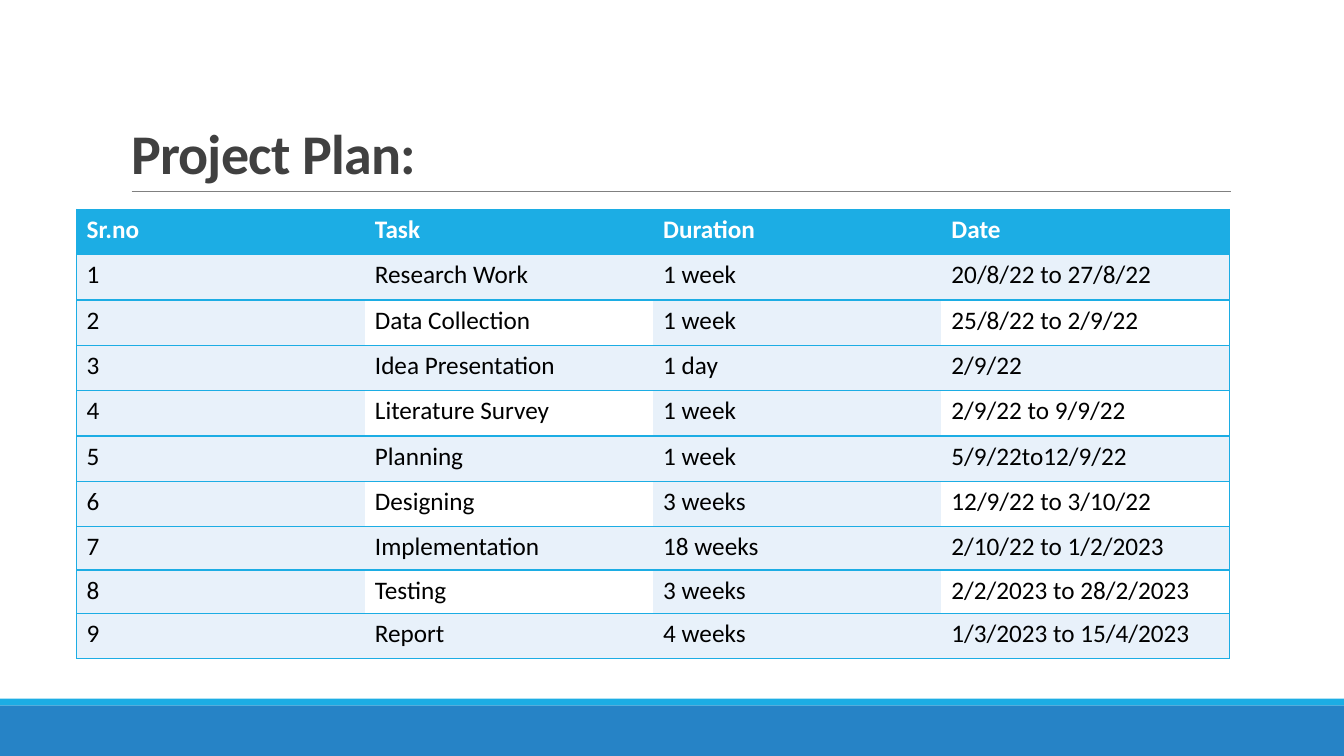
import dataclasses

import lxml.etree
import pptx
import pptx.dml.color
import pptx.enum.shapes
import pptx.enum.text
import pptx.oxml.ns
import pptx.util

WIDE, HIGH = 13.33, 7.5
FONT = "Calibri"
CYAN, BLUE, PALE, WHITE = "1CADE4", "2683C6", "E8F1FA", "FFFFFF"
GREY, DARK, BLACK = "808080", "404040", "000000"
ROW, SHORT = 0.06, 0.0573
HEAD = ("Sr.no", "Task", "Duration", "Date")


@dataclasses.dataclass
class Task:
    name: str
    span: str
    date: str
    tall: float = ROW


@dataclasses.dataclass
class Band:
    top: float
    tall: float
    fill: str


TASKS = [
    Task("Research Work", "1 week", "20/8/22 to 27/8/22"),
    Task("Data Collection", "1 week", "25/8/22 to 2/9/22"),
    Task("Idea Presentation", "1 day", "2/9/22"),
    Task("Literature Survey", "1 week", "2/9/22 to 9/9/22"),
    Task("Planning", "1 week", "5/9/22to12/9/22"),
    Task("Designing", "3 weeks", "12/9/22 to 3/10/22"),
    Task("Implementation", "18 weeks", "2/10/22 to 1/2/2023", SHORT),
    Task("Testing", "3 weeks", "2/2/2023 to 28/2/2023", SHORT),
    Task("Report", "4 weeks", "1/3/2023 to 15/4/2023"),
]
BANDS = [Band(0.933, 0.067, BLUE), Band(0.924, 0.009, CYAN)]


def across(share: float) -> pptx.util.Length:
    return pptx.util.Inches(WIDE * share)


def down(share: float) -> pptx.util.Length:
    return pptx.util.Inches(HIGH * share)


def color(code: str) -> pptx.dml.color.RGBColor:
    return pptx.dml.color.RGBColor.from_string(code)


def style(font, size: float, code: str, bold: bool) -> None:
    font.name = FONT
    font.size = pptx.util.Pt(size)
    font.bold = bold
    font.color.rgb = color(code)


def add_band(slide, band: Band) -> None:
    shape = slide.shapes.add_shape(
        pptx.enum.shapes.MSO_SHAPE.RECTANGLE,
        0, down(band.top), across(1), down(band.tall))
    shape.shadow.inherit = False
    shape.fill.solid()
    shape.fill.fore_color.rgb = color(band.fill)
    shape.line.fill.background()


def add_rule(slide) -> None:
    y = down(0.253)
    rule = slide.shapes.add_connector(
        pptx.enum.shapes.MSO_CONNECTOR.STRAIGHT,
        across(0.098), y, across(0.916), y)
    rule.line.color.rgb = color(GREY)
    rule.line.width = pptx.util.Pt(0.5)
    props = rule._element.spPr
    lxml.etree.SubElement(props, pptx.oxml.ns.qn("a:effectLst"))


def add_title(slide, text: str) -> None:
    title = slide.shapes.title
    title.left, title.top = across(0.09), down(0.041)
    title.width, title.height = across(0.825), down(0.212)
    frame = title.text_frame
    frame.text = text
    frame.word_wrap = True
    frame.auto_size = pptx.enum.text.MSO_AUTO_SIZE.NONE
    frame.vertical_anchor = pptx.enum.text.MSO_ANCHOR.BOTTOM
    line = frame.paragraphs[0]
    line.alignment = pptx.enum.text.PP_ALIGN.LEFT
    line.line_spacing = 0.85
    style(line.font, 40, DARK, True)
    line.runs[0]._r.get_or_add_rPr().set("spc", "-50")


def add_edge(cell, side: str, shown: bool) -> None:
    """Draw one side of a cell, or hide the line of the table style."""
    qn = pptx.oxml.ns.qn
    edge = lxml.etree.SubElement(
        cell._tc.get_or_add_tcPr(), qn(f"a:ln{side}"), w="12700")
    if shown:
        fill = lxml.etree.SubElement(edge, qn("a:solidFill"))
        lxml.etree.SubElement(fill, qn("a:srgbClr"), val=CYAN)
    else:
        lxml.etree.SubElement(edge, qn("a:noFill"))


def shade(row: int, col: int) -> str:
    """Give the header, banded row or banded column fill."""
    if row == 0:
        return CYAN
    return PALE if row % 2 or col % 2 == 0 else WHITE


def add_plan(slide) -> None:
    rows = [HEAD] + [(str(n), task.name, task.span, task.date)
                     for n, task in enumerate(TASKS, 1)]
    talls = [ROW] + [task.tall for task in TASKS]
    last = len(HEAD) - 1
    table = slide.shapes.add_table(
        len(rows), len(HEAD), across(0.057), down(0.277),
        across(0.858), down(sum(talls))).table
    for r, texts in enumerate(rows):
        table.rows[r].height = down(talls[r])
        for c, text in enumerate(texts):
            cell = table.cell(r, c)
            cell.text = text
            style(cell.text_frame.paragraphs[0].font, 18,
                  BLACK if r else WHITE, r == 0)
            for side, shown in (("L", c == 0), ("R", c == last),
                                ("T", True), ("B", True)):
                add_edge(cell, side, shown)
            cell.fill.solid()
            cell.fill.fore_color.rgb = color(shade(r, c))


def main() -> None:
    deck = pptx.Presentation()
    deck.slide_width, deck.slide_height = across(1), down(1)
    slide = deck.slides.add_slide(deck.slide_layouts[5])
    for band in BANDS:
        add_band(slide, band)
    add_rule(slide)
    add_title(slide, "Project Plan:")
    add_plan(slide)
    deck.save("out.pptx")


if __name__ == "__main__":
    main()
